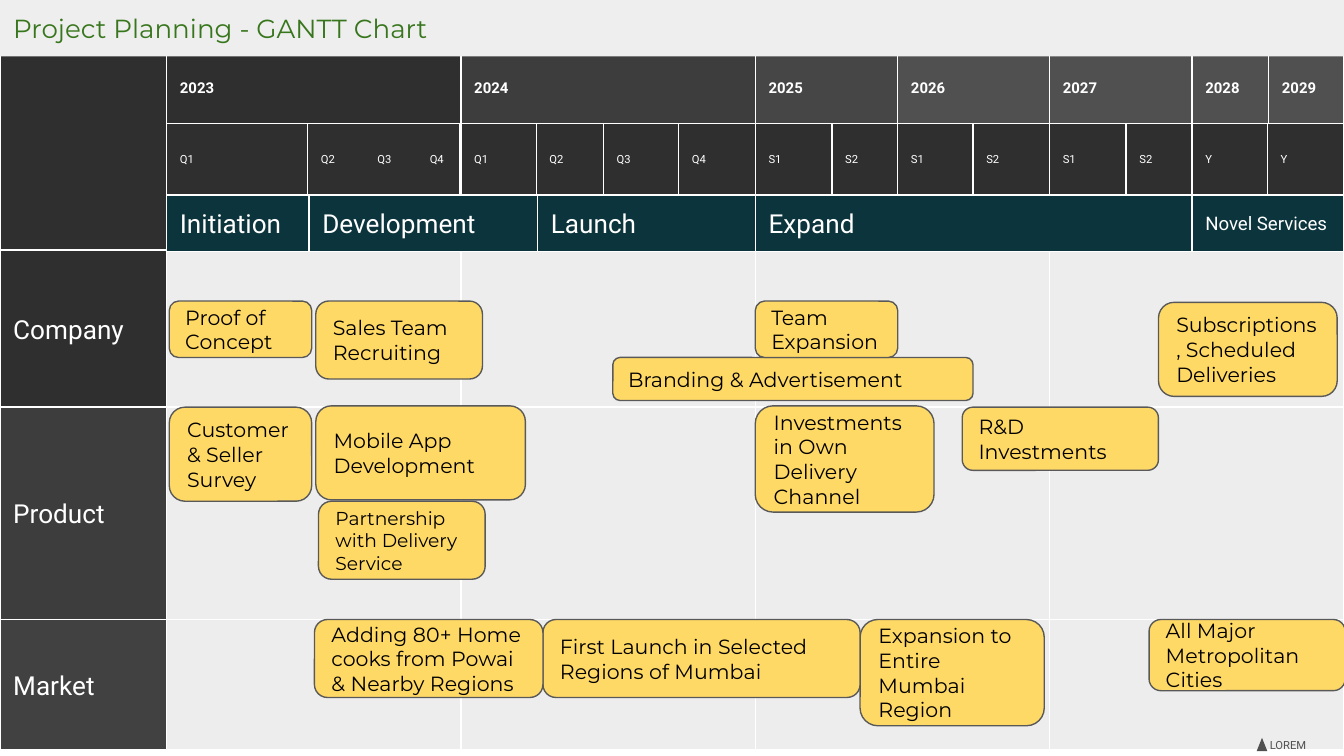
from dataclasses import dataclass
from itertools import pairwise

from lxml.etree import SubElement
from pptx import Presentation
from pptx.dml.color import RGBColor
from pptx.enum.shapes import MSO_SHAPE
from pptx.enum.text import MSO_ANCHOR, PP_ALIGN
from pptx.oxml.ns import qn
from pptx.util import Inches, Pt


@dataclass(frozen=True)
class Theme:
    dark: str = "2F2F2F"
    slate: str = "3D3D3D"
    steel: str = "464646"
    ash: str = "505050"
    smoke: str = "414141"
    teal: str = "0C343D"
    pale: str = "EDEDED"
    bar: str = "EEEEEE"
    gold: str = "FFD966"
    edge: str = "595959"
    green: str = "38761D"
    white: str = "FFFFFF"
    black: str = "000000"
    head: str = "Montserrat"
    body: str = "Roboto"
    large: float = 14
    task: float = 11
    small: float = 10
    year: float = 8
    tiny: float = 6


T = Theme()


@dataclass(frozen=True)
class Box:
    left: float
    top: float
    width: float
    height: float


@dataclass(frozen=True)
class Style:
    fill: str
    size: float = T.large
    color: str = T.white
    font: str = T.body
    bold: bool = False
    line: str | None = T.white


@dataclass(frozen=True)
class Lane:
    name: str
    top: float
    height: float
    fill: str


@dataclass(frozen=True)
class Task:
    text: str
    box: Box
    size: float = T.task


def write(shape, text: str, style: Style) -> None:
    frame = shape.text_frame
    frame.word_wrap = True
    frame.vertical_anchor = MSO_ANCHOR.MIDDLE
    frame.margin_left = frame.margin_right = Inches(0.1)
    frame.margin_top = frame.margin_bottom = Inches(0.1)
    par = frame.paragraphs[0]
    par.text = text
    par.alignment = PP_ALIGN.LEFT
    font = par.font
    font.name, font.size, font.bold = style.font, Pt(style.size), style.bold
    font.color.rgb = RGBColor.from_string(style.color)


def draw(slide, box: Box, style: Style, text: str = "", kind=MSO_SHAPE.RECTANGLE):
    shape = slide.shapes.add_shape(
        kind, Inches(box.left), Inches(box.top), Inches(box.width), Inches(box.height))
    shape.shadow.inherit = False
    shape.fill.solid()
    shape.fill.fore_color.rgb = RGBColor.from_string(style.fill)
    if style.line:
        shape.line.color.rgb = RGBColor.from_string(style.line)
        shape.line.width = Pt(0.75)
    else:
        shape.line.fill.background()
    if text:
        write(shape, text, style)
    return shape


def set_tabs(shape, stops: list[float]) -> None:
    props = shape.text_frame.paragraphs[0]._p.get_or_add_pPr()
    tabs = SubElement(props, qn("a:tabLst"))
    props.insert(0, tabs)  # tab stops come before the default run format
    for stop in stops:
        SubElement(tabs, qn("a:tab"), pos=str(Inches(stop)), algn="l")


SIDE = 1.24
SPAN = 2.19
HALF = 0.57
YEAR_TOP, TERM_TOP, PHASE_TOP = 0.39, 0.92, 1.45
ROW = 0.53

LANES = [
    Lane("Company", 1.86, 1.17, T.dark),
    Lane("Product", 3.03, 1.58, T.slate),
    Lane("Market", 4.61, 0.97, T.smoke),
]
YEAR_EDGES = [1.24, 3.43, 5.62, 6.68, 7.81, 8.87, 9.44, 10]
YEAR_FILLS = [T.dark, T.slate, T.steel] + [T.ash] * 4
TERMS = [
    ("Q1", 3.43), ("Q2", 3.99), ("Q3", 4.49), ("Q4", 5.05),
    ("S1", 5.62), ("S2", 6.19), ("S1", 6.68), ("S2", 7.24),
    ("S1", 7.81), ("S2", 8.38), ("Y", 8.87), ("Y", 9.43),
]
PHASE_EDGES = [1.24, 2.3, 4, 5.62, 8.87, 10]
PHASES = ["Initiation", "Development", "Launch", "Expand", "Novel Services"]
TASKS = [
    Task("Proof of Concept", Box(1.26, 2.24, 1.06, 0.42)),
    Task("Customer & Seller Survey", Box(1.26, 3.03, 1.06, 0.7)),
    Task("All Major Metropolitan Cities", Box(8.55, 4.61, 1.46, 0.53)),
    Task("Subscriptions, Scheduled Deliveries", Box(8.62, 2.25, 1.33, 0.7)),
    Task("R&D Investments", Box(7.16, 3.03, 1.46, 0.47)),
    Task("Expansion to Entire Mumbai Region", Box(6.4, 4.61, 1.37, 0.79)),
    Task("Branding & Advertisement", Box(4.56, 2.66, 2.68, 0.32)),
    Task("Investments in Own Delivery Channel", Box(5.62, 3.02, 1.33, 0.79)),
    Task("Team Expansion", Box(5.62, 2.24, 1.06, 0.42)),
    Task("First Launch in Selected Regions of Mumbai", Box(4.04, 4.61, 2.36, 0.58)),
    Task("Adding 80+ Home cooks from Powai & Nearby Regions",
         Box(2.34, 4.61, 1.7, 0.58)),
    Task("Partnership with Delivery Service", Box(2.37, 3.73, 1.24, 0.58), T.small),
    Task("Sales Team Recruiting", Box(2.35, 2.24, 1.24, 0.58)),
    Task("Mobile App Development", Box(2.35, 3.02, 1.56, 0.7)),
]


def draw_lanes(slide) -> None:
    for lane in LANES:
        for col in range(4):
            draw(slide, Box(SIDE + col * SPAN, lane.top, SPAN, lane.height),
                 Style(T.pale))
        draw(slide, Box(0, lane.top, SIDE, lane.height), Style(lane.fill), lane.name)


def draw_header(slide) -> None:
    draw(slide, Box(0, YEAR_TOP, SIDE, 1.47), Style(T.dark))
    for i, (left, right) in enumerate(pairwise(YEAR_EDGES)):
        draw(slide, Box(left, YEAR_TOP, right - left, ROW),
             Style(YEAR_FILLS[i], T.year, bold=True), str(2023 + i))
    term = Style(T.dark, T.tiny)
    draw(slide, Box(SIDE, TERM_TOP, 1.06, ROW), term, "Q1")
    rest = draw(slide, Box(2.29, TERM_TOP, 1.13, ROW), term, "Q2\tQ3\tQ4")
    set_tabs(rest, [0.42, 0.81])
    for name, left in TERMS:
        draw(slide, Box(left, TERM_TOP, HALF, ROW), term, name)
    for name, (left, right) in zip(PHASES, pairwise(PHASE_EDGES)):
        size = T.small if name == PHASES[-1] else T.large
        draw(slide, Box(left, PHASE_TOP, right - left, 0.42),
             Style(T.teal, size), name)


def draw_tasks(slide) -> None:
    for task in TASKS:
        draw(slide, task.box, Style(T.gold, task.size, T.black, T.head, line=T.edge),
             task.text, MSO_SHAPE.ROUNDED_RECTANGLE)


def draw_footer(slide) -> None:
    mark = Style(T.ash, T.tiny, T.ash, line=None)
    label = slide.shapes.add_textbox(
        Inches(9.35), Inches(5.46), Inches(0.64), Inches(0.17))
    write(label, "LOREM", mark)
    draw(slide, Box(9.35, 5.49, 0.08, 0.1), mark, kind=MSO_SHAPE.ISOSCELES_TRIANGLE)


def main() -> None:
    deck = Presentation()
    deck.slide_width = Inches(10)
    deck.slide_height = Inches(10 * 9 / 16)
    slide = deck.slides.add_slide(deck.slide_layouts[6])
    draw_lanes(slide)
    draw_header(slide)
    draw_footer(slide)
    draw_tasks(slide)
    draw(slide, Box(0, 0, 10, 0.42), Style(T.bar, T.large, T.green, T.head, line=None),
         "Project Planning - GANTT Chart")
    deck.save("out.pptx")


if __name__ == "__main__":
    main()
